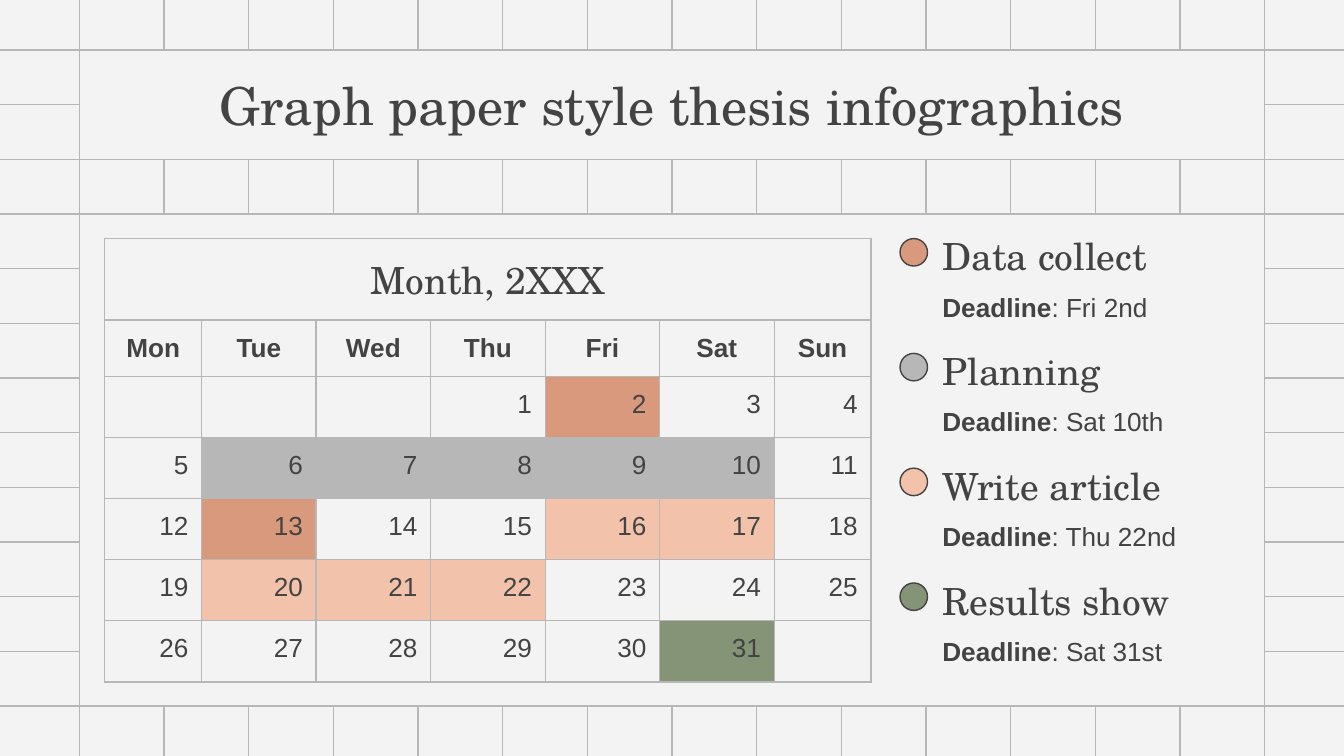
"""Build a graph paper slide with a thesis calendar and its deadlines."""
from lxml.etree import SubElement
from pptx import Presentation
from pptx.dml.color import RGBColor
from pptx.enum.shapes import MSO_CONNECTOR, MSO_SHAPE
from pptx.enum.text import MSO_ANCHOR as Anchor, PP_ALIGN as Align
from pptx.oxml.ns import qn
from pptx.util import Cm, Pt

PAPER = RGBColor(0xF3, 0xF3, 0xF3)
GRAY = RGBColor(0xB7, 0xB7, 0xB7)
INK = RGBColor(0x43, 0x43, 0x43)
CLAY = RGBColor(0xD9, 0x99, 0x7D)
PEACH = RGBColor(0xF2, 0xC2, 0xAB)
GREEN = RGBColor(0x85, 0x94, 0x77)

TITLE = "Graph paper style thesis infographics"
MONTH = "Month, 2XXX"
WEEKDAYS = ["Mon", "Tue", "Wed", "Thu", "Fri", "Sat", "Sun"]
FIRST_WEEKDAY, DAYS, WEEKS = 3, 31, 5
TASKS = [
    ("Data collect", "Fri 2nd", CLAY, [2, 13]),
    ("Planning", "Sat 10th", GRAY, [6, 7, 8, 9, 10]),
    ("Write article", "Thu 22nd", PEACH, [16, 17, 20, 21, 22]),
    ("Results show", "Sat 31st", GREEN, [31]),
]

WIDTH, HEIGHT = 25.4, 14.29
COLUMNS, ROWS = 14, 12
STEP_X, STEP_Y = 1.6, 12.4 / ROWS
LEFT = (WIDTH - COLUMNS * STEP_X) / 2
TOP = (HEIGHT - ROWS * STEP_Y) / 2
CONTENT_TOP, TASK_PITCH = 4.51, 2.17
COL_WIDTHS = [1.83] + [10.82 / 5] * 5 + [1.83]
ROW_HEIGHTS = [1.54, 1.06] + [5.78 / WEEKS] * WEEKS

SERIF = {"name": "TeX Gyre Schola", "bold": False}
TITLE_FONT = {**SERIF, "size": Pt(28)}
HEAD_FONT = {**SERIF, "size": Pt(20)}
BODY_FONT = {"name": "Arial", "size": Pt(14), "bold": False}
BOLD_FONT = {**BODY_FONT, "bold": True}
INSETS = {f"margin_{side}": Cm(0.25) for side in ("left", "right", "top", "bottom")}


def apply(obj, values):
    for name, value in values.items():
        setattr(obj, name, value)


def write(tf, runs, align=Align.LEFT):
    p = tf.paragraphs[0]
    p.alignment = align
    for text, font in runs:
        r = p.add_run()
        r.text = text
        apply(r.font, font)
        r.font.color.rgb = INK


def add_line(s, x1, y1, x2, y2):
    line = s.shapes.add_connector(MSO_CONNECTOR.STRAIGHT, Cm(x1), Cm(y1), Cm(x2), Cm(y2))
    line.line.color.rgb = GRAY
    line.line.width = Pt(0.75)
    SubElement(line._element.spPr, qn("a:effectLst"))


def add_grid(s):
    for half in range(2):
        for i in range(COLUMNS + 1):
            x = LEFT + i * STEP_X
            add_line(s, x, half * HEIGHT / 2, x, (half + 1) * HEIGHT / 2)
        for i in range(ROWS + 1):
            y = TOP + i * STEP_Y
            add_line(s, half * WIDTH / 2, y, (half + 1) * WIDTH / 2, y)


def add_shape(s, kind, x, y, w, h, fill, outline):
    sp = s.shapes.add_shape(kind, Cm(x), Cm(y), Cm(w), Cm(h))
    sp.shadow.inherit = False
    sp.fill.solid()
    sp.fill.fore_color.rgb = fill
    sp.line.color.rgb = outline
    sp.line.width = Pt(0.75)
    return sp


def add_panel(s, first_row, last_row):
    return add_shape(s, MSO_SHAPE.RECTANGLE, LEFT, TOP + first_row * STEP_Y,
                     COLUMNS * STEP_X, (last_row - first_row) * STEP_Y, PAPER, GRAY)


def add_text(s, y, runs, anchor):
    tf = s.shapes.add_textbox(Cm(17.56), Cm(y), Cm(5.87), Cm(1)).text_frame
    apply(tf, {**INSETS, "word_wrap": True, "vertical_anchor": anchor})
    write(tf, runs)


def style_cell(cell, fill):
    tc_pr = cell._tc.get_or_add_tcPr()
    for side in ("lnL", "lnR", "lnT", "lnB"):
        ln = SubElement(tc_pr, qn(f"a:{side}"), w=str(Pt(0.75)))
        SubElement(SubElement(ln, qn("a:solidFill")), qn("a:srgbClr"), val=str(GRAY))
    cell.fill.solid()
    cell.fill.fore_color.rgb = fill
    apply(cell, {**INSETS, "vertical_anchor": Anchor.TOP})
    cell.text_frame.paragraphs[0]._p.get_or_add_endParaRPr().set("sz", "1400")


def add_calendar(s):
    frame = s.shapes.add_table(len(ROW_HEIGHTS), len(COL_WIDTHS), Cm(1.98), Cm(CONTENT_TOP),
                               Cm(sum(COL_WIDTHS)), Cm(sum(ROW_HEIGHTS)))
    table = frame.table
    apply(table, {"first_row": False, "horz_banding": False})
    for col, width in zip(table.columns, COL_WIDTHS):
        col.width = Cm(width)
    for row, height in zip(table.rows, ROW_HEIGHTS):
        row.height = Cm(height)
    for cell in table.iter_cells():
        style_cell(cell, PAPER)
    table.cell(0, 0).merge(table.cell(0, len(WEEKDAYS) - 1))
    write(table.cell(0, 0).text_frame, [(MONTH, HEAD_FONT)], Align.CENTER)
    for i, name in enumerate(WEEKDAYS):
        write(table.cell(1, i).text_frame, [(name, BOLD_FONT)], Align.CENTER)
    colors = {day: color for _, _, color, days in TASKS for day in days}
    for day in range(1, DAYS + 1):
        week, weekday = divmod(day - 1 + FIRST_WEEKDAY, len(WEEKDAYS))
        cell = table.cell(week + 2, weekday)
        cell.fill.fore_color.rgb = colors.get(day, PAPER)
        write(cell.text_frame, [(str(day), BODY_FONT)], Align.RIGHT)


def main():
    prs = Presentation()
    prs.slide_width, prs.slide_height = Cm(WIDTH), Cm(HEIGHT)
    s = prs.slides.add_slide(prs.slide_layouts[6])
    s.background.fill.solid()
    s.background.fill.fore_color.rgb = PAPER

    add_grid(s)
    add_panel(s, 3, ROWS)
    tf = add_panel(s, 0, 2).text_frame
    apply(tf, {**INSETS, "word_wrap": True, "vertical_anchor": Anchor.MIDDLE})
    write(tf, [(TITLE, TITLE_FONT)], Align.CENTER)

    add_calendar(s)
    for i, (task, deadline, color, _) in enumerate(TASKS):
        y = CONTENT_TOP + i * TASK_PITCH
        add_shape(s, MSO_SHAPE.OVAL, 17.01, y, 0.52, 0.52, color, INK)
        add_text(s, y, [(task, HEAD_FONT)], Anchor.BOTTOM)
        add_text(s, y + 0.74, [("Deadline", BOLD_FONT), (f": {deadline}", BODY_FONT)], Anchor.TOP)

    prs.save("out.pptx")


if __name__ == "__main__":
    main()
